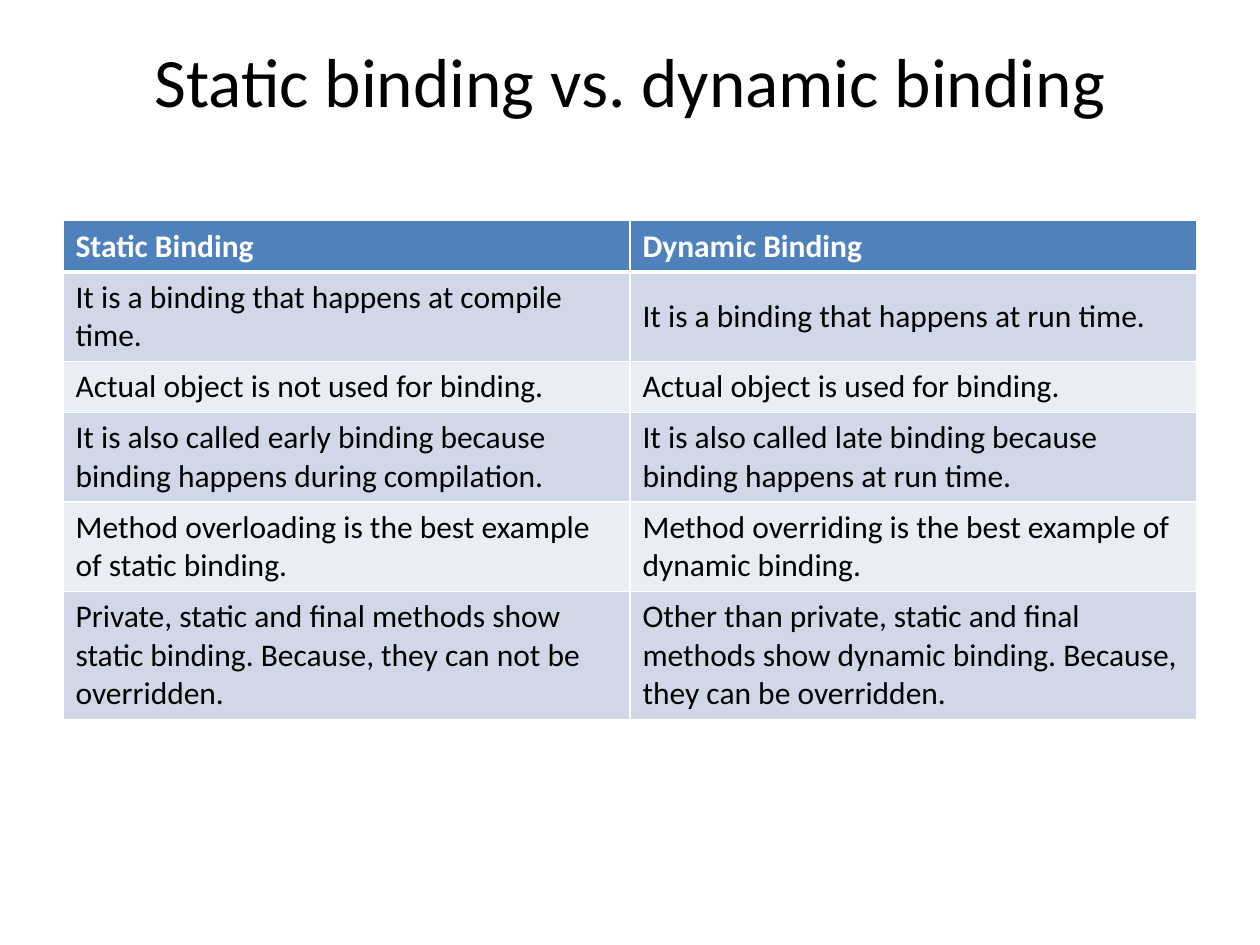
from lxml.etree import SubElement
from pptx import Presentation
from pptx.dml.color import RGBColor
from pptx.enum.text import MSO_ANCHOR as Anchor, MSO_AUTO_SIZE as Fit, PP_ALIGN as Align
from pptx.oxml.ns import qn
from pptx.util import Cm, Pt

BLACK = RGBColor(0x00, 0x00, 0x00)
WHITE = RGBColor(0xFF, 0xFF, 0xFF)
BLUE = RGBColor(0x4F, 0x81, 0xBD)
BANDS = (RGBColor(0xE9, 0xED, 0xF4), RGBColor(0xD0, 0xD8, 0xE8))

ROWS = (
    ("Static Binding", "Dynamic Binding"),
    ("It is a binding that happens at compile time.",
     "It is a binding that happens at run time."),
    ("Actual object is not used for binding.",
     "Actual object is used for binding."),
    ("It is also called early binding because binding happens during compilation.",
     "It is also called late binding because binding happens at run time."),
    ("Method overloading is the best example of static binding.",
     "Method overriding is the best example of dynamic binding."),
    ("Private, static and final methods show static binding. Because, they can not be overridden.",
     "Other than private, static and final methods show dynamic binding. Because, they can be overridden."),
)


def put_text(frame, text, size=18, color=BLACK, bold=False, align=Align.LEFT):
    """Write one formatted paragraph into a text frame."""
    para = frame.paragraphs[0]
    para.alignment = align
    run = para.add_run()
    run.text = text
    font = run.font
    font.name, font.size, font.bold = "Calibri", Pt(size), bold
    font.color.rgb = color


def add_title(slide, text):
    """Set the title at the top of its placeholder."""
    title = slide.shapes.title
    title.left, title.top = Cm(1.27), Cm(0.76)
    title.width, title.height = Cm(22.86), Cm(3.18)
    frame = title.text_frame
    frame.auto_size = Fit.NONE
    frame.vertical_anchor = Anchor.TOP
    frame.margin_top = 0
    put_text(frame, text, size=39.6, align=Align.CENTER)


def add_edges(cell, top, base):
    """Draw white cell borders with the given top and bottom widths."""
    props = cell._tc.get_or_add_tcPr()
    for side, width in zip("LRTB", (1, 1, top, base)):
        line = SubElement(props, qn(f"a:ln{side}"), w=str(Pt(width)))
        fill = SubElement(line, qn("a:solidFill"))
        SubElement(fill, qn("a:srgbClr"), val=str(WHITE))


def add_grid(slide, rows):
    """Add the comparison table with a header and banded rows."""
    high = Cm(1.03)
    grid = slide.shapes.add_table(
        len(rows), 2, Cm(1.27), Cm(4.45), Cm(22.86), high * len(rows)).table
    for i, row in enumerate(rows):
        grid.rows[i].height = high
        head = i == 0
        for j, text in enumerate(row):
            cell = grid.cell(i, j)
            cell.vertical_anchor = Anchor.MIDDLE
            add_edges(cell, 3 if i == 1 else 1, 3 if head else 1)
            cell.fill.solid()
            cell.fill.fore_color.rgb = BLUE if head else BANDS[i % 2]
            put_text(cell.text_frame, text, color=WHITE if head else BLACK, bold=head)


def main():
    """Build and save the slide."""
    deck = Presentation()
    deck.slide_width, deck.slide_height = Cm(25.4), Cm(19.05)
    slide = deck.slides.add_slide(deck.slide_layouts[5])
    add_title(slide, "Static binding vs. dynamic binding")
    add_grid(slide, ROWS)
    deck.save("out.pptx")


if __name__ == "__main__":
    main()
